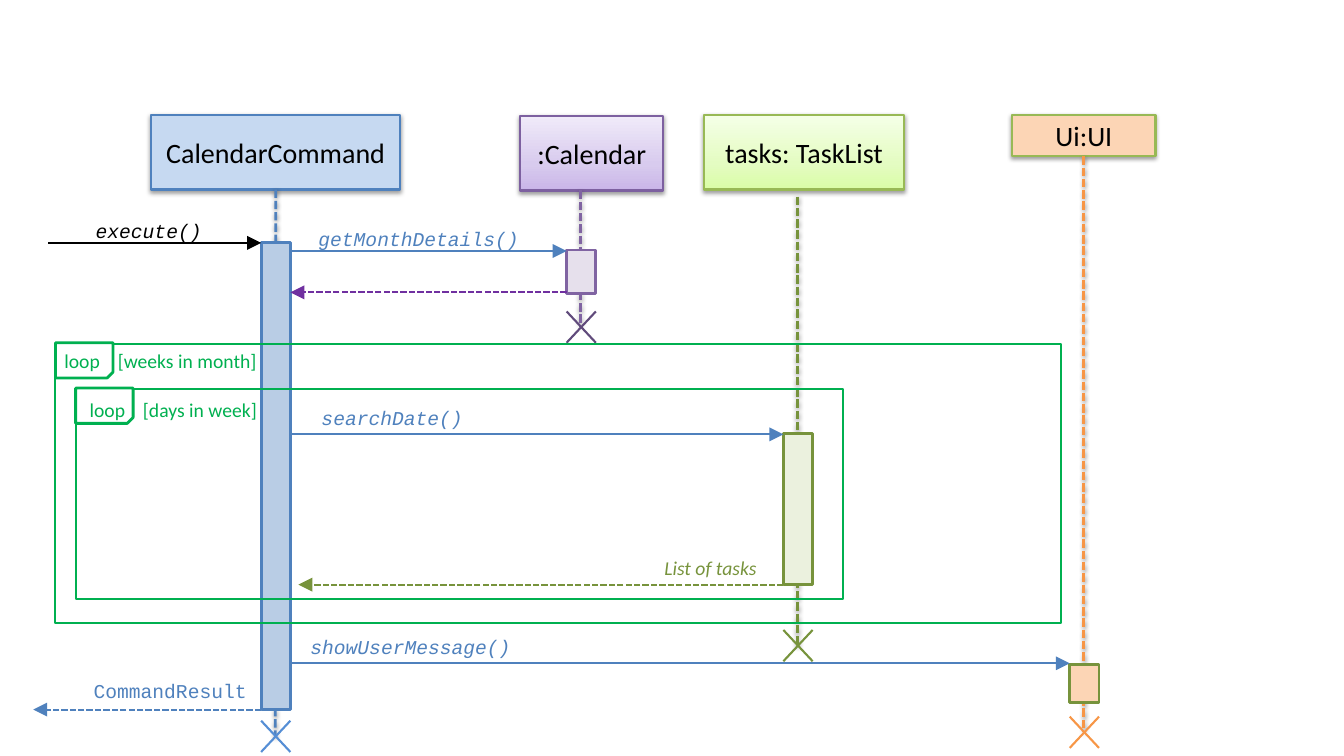
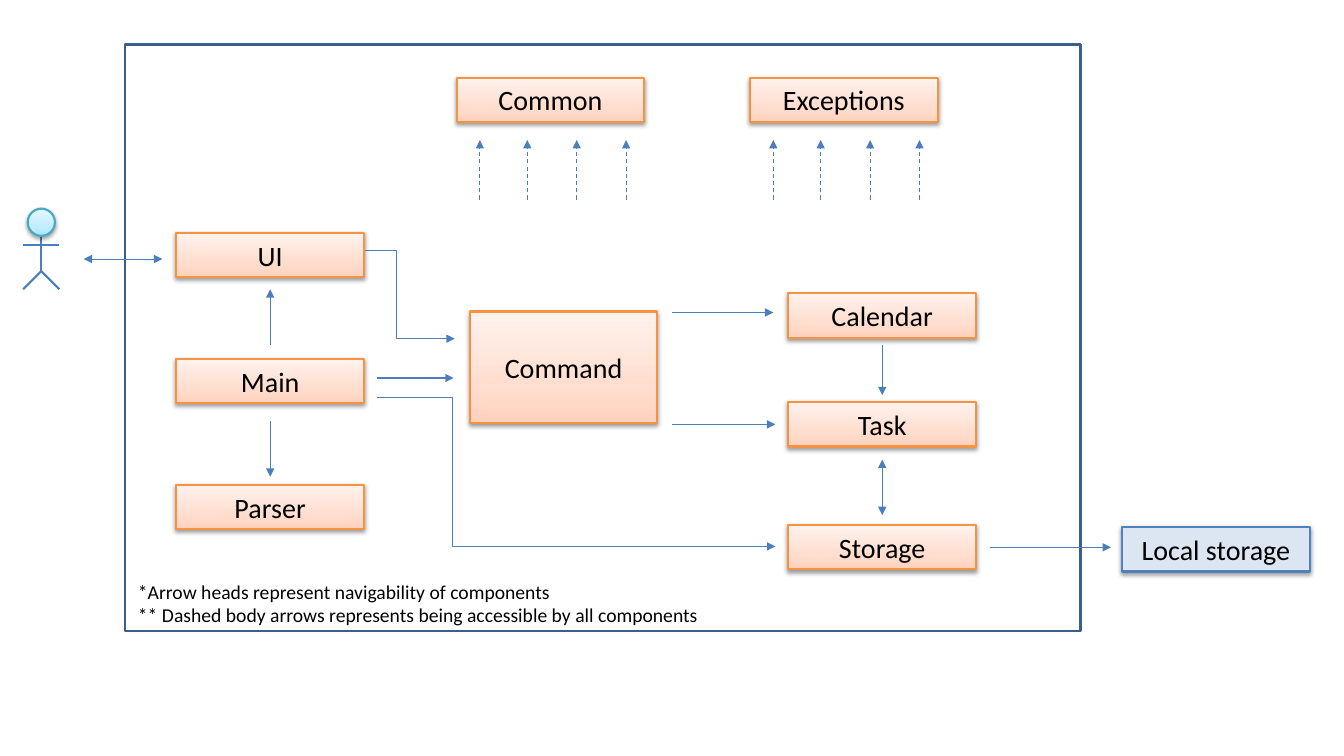
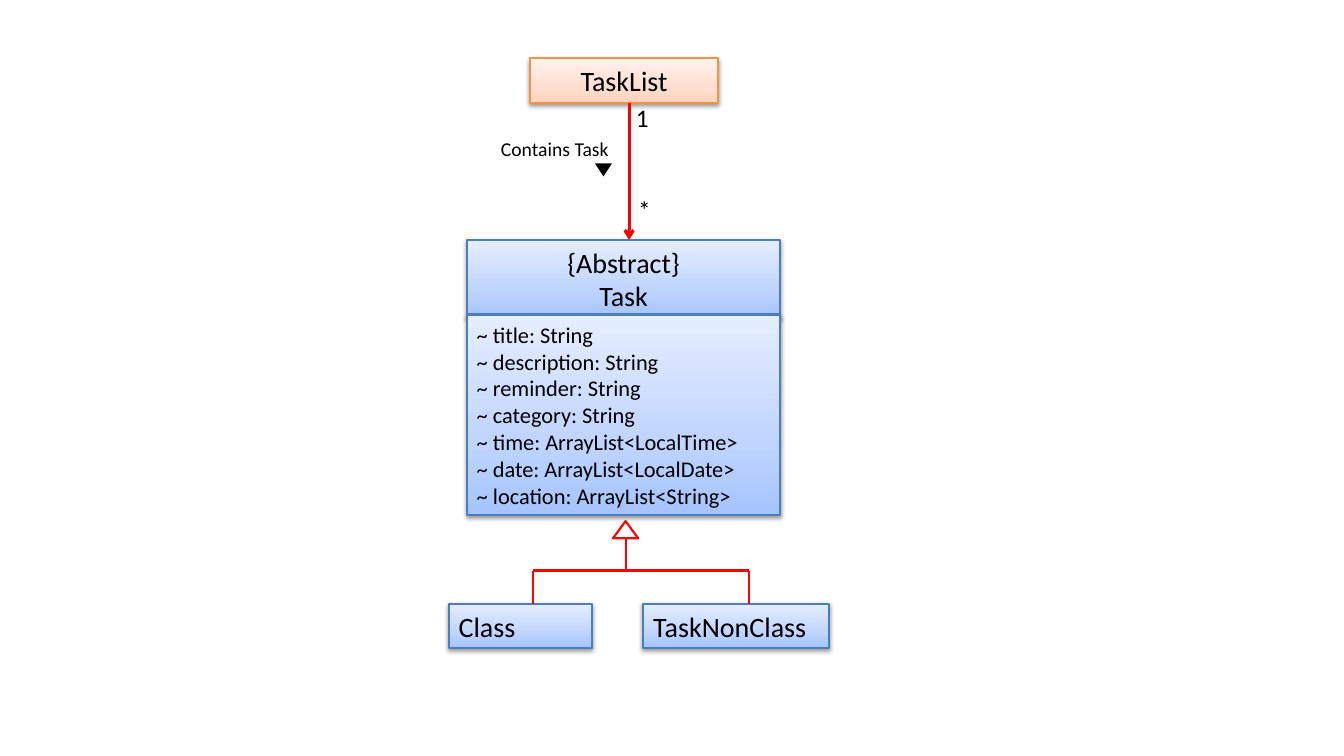
"""Builds three UML diagrams: a sequence, an architecture and a class diagram."""
from collections import namedtuple
from copy import deepcopy

from lxml import etree
from pptx import Presentation
from pptx.dml.color import RGBColor
from pptx.enum.dml import MSO_LINE
from pptx.enum.shapes import MSO_CONNECTOR, MSO_SHAPE
from pptx.enum.text import MSO_ANCHOR, PP_ALIGN
from pptx.oxml.ns import qn
from pptx.util import Pt

PX = 9144
RECT, SNIP = MSO_SHAPE.RECTANGLE, MSO_SHAPE.SNIP_1_RECTANGLE
OVAL, TRIANGLE = MSO_SHAPE.OVAL, MSO_SHAPE.ISOSCELES_TRIANGLE
STRAIGHT, ELBOW = MSO_CONNECTOR.STRAIGHT, MSO_CONNECTOR.ELBOW
DASH, SHORT_DASH = MSO_LINE.DASH, MSO_LINE.SQUARE_DOT
LEFT, CENTER = PP_ALIGN.LEFT, PP_ALIGN.CENTER
TOP, MIDDLE = MSO_ANCHOR.TOP, MSO_ANCHOR.MIDDLE
BOTTOM_SITE = 2


class Theme:
    """Colours, fonts and type sizes."""
    sans, mono = "Calibri", "Courier New"
    label, field, mark, name = 14, 16, 18, 20
    thin, normal, thick, heavy = 0.75, 1.5, 2, 2.25
    black, white, red = "000000", "FFFFFF", "FF0000"
    blue, steel, navy, sky = "4F81BD", "4B7EBC", "3A5F8C", "558ED5"
    green, olive, lime = "00B050", "77933C", "98B955"
    purple, violet, plum, grape = "8064A2", "7030A0", "604A7B", "7D60A0"
    orange, amber, teal = "F79646", "F69240", "46AAC5"
    pale_blue, mid_blue, ice = "C6D9F1", "B9CDE5", "DCE6F2"
    pale_purple, pale_olive, peach = "E6E0EC", "EBF1DE", "FCD5B5"
    lime_fade = ("DAFDA7", "E4FCC2", "F5FFE7")
    purple_fade = ("C9B5E8", "D8CBEE", "F0EAF9")
    teal_fade = ("A7E6FF", "C1EDFF", "E7F8FF")
    orange_fade = ("FFD2BD", "FFDED0", "FFF2ED")
    blue_fade = ("A4C4FF", "BFD4FF", "E6EEFF")
    fade_stops = (0, 0.35, 1)


T = Theme

Box = namedtuple("Box", "x y w h")
Participant = namedtuple(
    "Participant", "name head fill edge life_x life_gap life_color "
                   "bar_y bar_h bar_fill bar_edge cross_y cross_color")
Message = namedtuple("Message", "start end y color dash text text_x rise font italic")
Loop = namedtuple("Loop", "guard frame text_dx text_dy")
Across = namedtuple("Across", "source target y1 y2 gap1 gap2 bend")
Upright = namedtuple("Upright", "source target gap1 gap2 both")
ClassBox = namedtuple("ClassBox", "lines box size align")

BAR_W, CROSS_H = 29, 31
PARTICIPANTS = {
    "command": Participant("CalendarCommand", Box(150, 114, 247, 74), T.pale_blue, T.blue,
                           273, 0, T.blue, 241, 463, T.mid_blue, T.blue, 715, T.sky),
    "calendar": Participant(":Calendar", Box(516, 115, 142, 74), T.purple_fade, T.grape,
                            576, 0, T.purple, 248, 43, T.pale_purple, T.purple, 309, T.plum),
    "tasks": Participant("tasks: TaskList", Box(698, 114, 199, 74), T.lime_fade, T.lime,
                         791, 7, T.olive, 430, 150, T.pale_olive, T.olive, 625, T.olive),
    "ui": Participant("Ui:UI", Box(1004, 114, 142, 41), T.peach, T.lime,
                      1075, 0, T.orange, 659, 38, T.peach, T.olive, 711, T.orange),
}
MESSAGES = [
    Message(48, "command", 241, T.black, None, "execute()", 85, 29, T.mono, True),
    Message("command", "calendar", 249, T.blue, None,
            "getMonthDetails()", 306, 29, T.mono, True),
    Message("calendar", "command", 290, T.violet, SHORT_DASH, None, 0, 0, T.mono, True),
    Message("command", "tasks", 431, T.blue, None, "searchDate()", 309, 33, T.mono, True),
    Message("tasks", 296, 580, T.olive, SHORT_DASH, "List of tasks", 649, 33, T.sans, True),
    Message("command", "ui", 658, T.blue, None, "showUserMessage()", 298, 33, T.mono, True),
    Message("command", 33, 704, T.blue, SHORT_DASH, "CommandResult", 83, 35, T.mono, False),
]
MESSAGE_W, MESSAGE_H = 219, 34
LOOPS = [Loop("[weeks in month]", Box(55, 341, 997, 277), -1, -4),
         Loop("[days in week]", Box(75, 386, 761, 208), 4, -1)]
TAG_W, TAG_H, GUARD_TAB = 57, 35, 53

COL_1, COL_2, COL_3, BOX_W, BOX_H = 175, 466, 782, 186, 44
COMPONENTS = {
    "UI": Box(COL_1, 231, BOX_W, BOX_H),
    "Main": Box(COL_1, 356, BOX_W, BOX_H),
    "Parser": Box(COL_1, 481, BOX_W, BOX_H),
    "Command": Box(COL_2, 309, BOX_W, 111),
    "Calendar": Box(COL_3, 291, BOX_W, BOX_H),
    "Task": Box(COL_3, 399, BOX_W, BOX_H),
    "Storage": Box(COL_3, 521, BOX_W, BOX_H),
    "Common": Box(453, 77, BOX_W, BOX_H),
    "Exceptions": Box(744, 77, BOX_W, BOX_H),
    "Local storage": Box(1113, 523, BOX_W, BOX_H),
}
OUTSIDE = "Local storage"
SYSTEM_FRAME = Box(124, 44, 948, 582)
ACROSS = [
    Across("UI", "Command", 249, 336, 1, 15, 0.35),
    Across("Main", "Command", 375, 375, 13, 16, None),
    Across("Main", "Storage", 394, 542, 13, 13, 0.19),
    Across("Command", "Calendar", 310, 310, 15, 15, None),
    Across("Command", "Task", 421, 421, 15, 13, None),
    Across("Storage", OUTSIDE, 543, 543, 14, 11, None),
]
UPRIGHT = [
    Upright("Main", "UI", 14, 12, False),
    Upright("Main", "Parser", 18, 8, False),
    Upright("Calendar", "Task", 7, 7, False),
    Upright("Task", "Storage", 13, 10, True),
]
ACTOR_X, ACTOR_REACH, NECK_Y, HIP_Y, ACTOR_HEAD = 41, 18, 225, 269, 27
USER_LINK = (161, 257, 83, 257)
SHARED, ACCESS_STEPS, ACCESS_FROM, ACCESS_TO = ("Common", "Exceptions"), (23, 70, 119, 168), 198, 139
NOTES = ["*Arrow heads represent navigability of components",
         "** Dashed body arrows represents being accessible by all components"]

OWNER = ClassBox(["TaskList"], Box(526, 58, 186, 44), T.name, CENTER)
PARENT = ClassBox(["{Abstract}", "Task"], Box(463, 238, 311, 77), T.name, CENTER)
FIELDS = ClassBox(
    ["~ title: String", "~ description: String", "~ reminder: String", "~ category: String",
     "~ time: ArrayList<LocalTime>", "~ date: ArrayList<LocalDate>",
     "~ location: ArrayList<String>"], Box(463, 312, 311, 199), T.field, LEFT)
CHILDREN = [ClassBox(["Class"], Box(445, 599, 142, 44), T.name, LEFT),
            ClassBox(["TaskNonClass"], Box(638, 599, 184, 44), T.name, LEFT)]
ASSOCIATION_X, LEG_SHIFT = 624, 13
INHERIT_HEAD, READ_MARK = Box(608, 517, 25, 17), Box(590, 162, 17, 13)
CLASS_LABELS = [("1", Box(621, 97, 33, 40), T.mark), ("*", Box(623, 188, 33, 40), T.mark),
                ("Contains Task", Box(487, 131, 240, 34), T.label)]


def emu(lengths):
    """Scale px lengths to EMU."""
    return [int(v * PX) for v in lengths]


def rgb(color):
    """Return a colour object for a hex string."""
    return RGBColor.from_string(color)


def center_x(box):
    """Return the horizontal middle of a box."""
    return box.x + box.w / 2


def cast_shadow(effects):
    """Add the soft drop shadow to an effect list."""
    shadow = etree.SubElement(effects, qn("a:outerShdw"), blurRad="40000", dist="20000",
                              dir="5400000", rotWithShape="0")
    color = etree.SubElement(shadow, qn("a:srgbClr"), val=T.black)
    etree.SubElement(color, qn("a:alpha"), val="38000")


def paint(sp, fill):
    """Fill a shape with nothing, one colour or a three-stop fade."""
    if fill is None:
        sp.fill.background()
    elif isinstance(fill, str):
        sp.fill.solid()
        sp.fill.fore_color.rgb = rgb(fill)
    else:
        sp.fill.gradient()
        sp.fill.gradient_angle = 90
        stops = sp.element.find(".//" + qn("a:gsLst"))
        stops.insert(1, deepcopy(stops[0]))
        for stop, color, position in zip(sp.fill.gradient_stops, fill, T.fade_stops):
            stop.color.rgb = rgb(color)
            stop.position = position


def add_box(s, box, fill=None, edge=None, width=T.normal, kind=RECT, shadow=False):
    """Add a preset shape."""
    sp = s.shapes.add_shape(kind, *emu(box))
    paint(sp, fill)
    if edge:
        sp.line.color.rgb = rgb(edge)
        sp.line.width = Pt(width)
    else:
        sp.line.fill.background()
    sp.shadow.inherit = False
    if shadow:
        cast_shadow(sp.element.find(".//" + qn("a:effectLst")))
    return sp


def add_line(s, ends, color, width=T.normal, dash=None, head=None, tail=None,
             arrow_size="med", bend=None, shadow=False):
    """Add a straight connector, or an elbow when a bend is given."""
    c = s.shapes.add_connector(STRAIGHT if bend is None else ELBOW, *emu(ends))
    c.line.color.rgb = rgb(color)
    c.line.width = Pt(width)
    if dash:
        c.line.dash_style = dash
    ln = c.element.find(".//" + qn("a:ln"))
    for tag, arrow in (("a:headEnd", head), ("a:tailEnd", tail)):
        if arrow:
            etree.SubElement(ln, qn(tag), type=arrow, w=arrow_size, len=arrow_size)
    if bend is not None:
        guides = c.element.find(".//" + qn("a:avLst"))
        etree.SubElement(guides, qn("a:gd"), name="adj1", fmla=f"val {round(bend * 100000)}")
    effects = etree.SubElement(ln.getparent(), qn("a:effectLst"))
    if shadow:
        cast_shadow(effects)
    return c


def write(sp, lines, size, color=T.black, font=T.sans, italic=False, align=LEFT,
          anchor=MIDDLE, wrap=True):
    """Write one paragraph per line into a shape."""
    tf = sp.text_frame
    tf.word_wrap = wrap
    tf.vertical_anchor = anchor
    for i, line in enumerate(lines):
        p = tf.add_paragraph() if i else tf.paragraphs[0]
        p.text = line
        p.alignment = align
        p.font.name, p.font.size, p.font.italic = font, Pt(size), italic
        p.font.color.rgb = rgb(color)


def add_text(s, box, lines, size, **style):
    """Add a text box."""
    sp = s.shapes.add_textbox(*emu(box))
    write(sp, lines, size, **style)
    return sp


def set_tab(sp, position):
    """Give the first paragraph of a shape one left tab stop."""
    tabs = etree.Element(qn("a:tabLst"))
    etree.SubElement(tabs, qn("a:tab"), pos=str(position * PX), algn="l")
    sp.element.find(".//" + qn("a:pPr")).insert(0, tabs)


def add_participant(s, part):
    """Draw a participant's head, lifeline, activation bar and end cross."""
    head = add_box(s, part.head, part.fill, part.edge, shadow=True)
    write(head, [part.name], T.name, align=CENTER)
    start = part.head.y + part.head.h + part.life_gap
    life = add_line(s, (part.life_x, start, part.life_x, part.cross_y + CROSS_H // 2),
                    part.life_color, T.thick, SHORT_DASH, shadow=True)
    if not part.life_gap and abs(part.life_x - center_x(part.head)) < 1:
        life.begin_connect(head, BOTTOM_SITE)
    left, top = part.life_x - BAR_W // 2, part.cross_y
    right, bottom = left + BAR_W, top + CROSS_H
    add_box(s, (left, part.bar_y, BAR_W, part.bar_h), part.bar_fill, part.bar_edge, T.thick)
    add_line(s, (right, top, left, bottom), part.cross_color)
    add_line(s, (right, bottom, left, top), part.cross_color)


def add_loop(s, loop):
    """Draw a loop frame with its tag and guard."""
    frame = loop.frame
    add_box(s, frame, None, T.green)
    turn = (TAG_W - TAG_H) / 2
    tag_box = (frame.x + turn, frame.y - 1 - turn, TAG_H, TAG_W)
    add_box(s, tag_box, T.white, T.green, T.thick, SNIP).rotation = 90
    text_box = (frame.x + loop.text_dx, frame.y + loop.text_dy, 330, 42)
    set_tab(add_text(s, text_box, ["loop\t" + loop.guard], T.label, color=T.green), GUARD_TAB)


def message_end(place, other):
    """Return the x of a bar side facing the other end, or a plain x."""
    if place not in PARTICIPANTS:
        return place
    x = PARTICIPANTS[place].life_x
    toward = PARTICIPANTS[other].life_x if other in PARTICIPANTS else other
    left = x - BAR_W // 2
    return left + BAR_W if toward > x else left


def add_message(s, m):
    """Draw a message arrow and its text."""
    ends = (message_end(m.start, m.end), m.y, message_end(m.end, m.start), m.y)
    add_line(s, ends, m.color, dash=m.dash, tail="triangle", arrow_size="lg")
    if m.text:
        add_text(s, (m.text_x, m.y - m.rise, MESSAGE_W, MESSAGE_H), [m.text], T.label,
                 color=m.color, font=m.font, italic=m.italic, anchor=TOP)


def sequence_slide(s):
    """Draw the calendar command sequence."""
    for part in PARTICIPANTS.values():
        add_participant(s, part)
    for loop in LOOPS:
        add_loop(s, loop)
    for message in MESSAGES:
        add_message(s, message)


def add_actor(s):
    """Draw the stick-figure user."""
    left, right = ACTOR_X - ACTOR_REACH, ACTOR_X + ACTOR_REACH
    arm_y, foot_y = NECK_Y + ACTOR_REACH, HIP_Y + ACTOR_REACH
    add_line(s, (ACTOR_X, NECK_Y, ACTOR_X, HIP_Y), T.steel)
    add_line(s, (left, arm_y, right, arm_y), T.steel)
    for foot_x in (left, right):
        add_line(s, (ACTOR_X, HIP_Y, foot_x, foot_y), T.steel)
    head = (ACTOR_X - ACTOR_HEAD / 2, NECK_Y - ACTOR_REACH, ACTOR_HEAD, ACTOR_HEAD)
    add_box(s, head, T.teal_fade, T.teal, kind=OVAL, shadow=True)


def add_dependency(s, ends, both=False, **style):
    """Draw a thin arrow between components."""
    add_line(s, ends, T.steel, T.thin, head="triangle" if both else None, tail="triangle", **style)


def architecture_slide(s):
    """Draw the components and their navigability."""
    add_box(s, SYSTEM_FRAME, None, T.navy, T.thick)
    add_actor(s)
    add_dependency(s, USER_LINK, both=True)
    for name, box in COMPONENTS.items():
        fill, edge = (T.ice, T.blue) if name == OUTSIDE else (T.orange_fade, T.amber)
        write(add_box(s, box, fill, edge, shadow=True), [name], T.name, align=CENTER)
    for link in ACROSS:
        source, target = COMPONENTS[link.source], COMPONENTS[link.target]
        ends = (source.x + source.w + link.gap1, link.y1, target.x - link.gap2, link.y2)
        add_dependency(s, ends, bend=link.bend)
    for link in UPRIGHT:
        source, target = COMPONENTS[link.source], COMPONENTS[link.target]
        x = center_x(source)
        if target.y > source.y:
            y1, y2 = source.y + source.h + link.gap1, target.y - link.gap2
        else:
            y1, y2 = source.y - link.gap1, target.y + target.h + link.gap2
        add_dependency(s, (x, y1, x, y2), link.both)
    for name in SHARED:
        for step in ACCESS_STEPS:
            x = COMPONENTS[name].x + step
            add_dependency(s, (x, ACCESS_FROM, x, ACCESS_TO), dash=DASH)
    add_text(s, (127, 570, 581, 57), NOTES, T.label, anchor=TOP, wrap=False)


def add_inheritance(s):
    """Draw the tree from the children up to the hollow triangle."""
    trunk_x, trunk_y = center_x(INHERIT_HEAD), INHERIT_HEAD.y + INHERIT_HEAD.h
    child_y = CHILDREN[0].box.y
    bar_y = (trunk_y + child_y) // 2
    legs = [center_x(child.box) + LEG_SHIFT for child in CHILDREN]
    add_line(s, (trunk_x, trunk_y, trunk_x, bar_y), T.red)
    add_line(s, (legs[0], bar_y, legs[-1], bar_y), T.red)
    for x in legs:
        add_line(s, (x, bar_y, x, child_y), T.red)
    add_box(s, INHERIT_HEAD, T.white, T.red, kind=TRIANGLE)


def class_slide(s):
    """Draw the task class diagram."""
    for item in (OWNER, PARENT, FIELDS, *CHILDREN):
        fill, edge = (T.orange_fade, T.amber) if item is OWNER else (T.blue_fade, T.steel)
        sp = add_box(s, item.box, fill, edge, shadow=True)
        write(sp, item.lines, item.size, align=item.align)
    owner_bottom = OWNER.box.y + OWNER.box.h
    add_line(s, (ASSOCIATION_X, owner_bottom, ASSOCIATION_X, PARENT.box.y), T.red, T.heavy,
             tail="arrow")
    add_inheritance(s)
    add_box(s, READ_MARK, T.black, kind=TRIANGLE).rotation = 180
    for text, box, size in CLASS_LABELS:
        add_text(s, box, [text], size, anchor=TOP)


def main():
    """Build and save the presentation."""
    prs = Presentation()
    prs.slide_width, prs.slide_height = emu((1333, 750))
    for draw in (sequence_slide, architecture_slide, class_slide):
        draw(prs.slides.add_slide(prs.slide_layouts[6]))
    prs.save("out.pptx")


if __name__ == "__main__":
    main()
